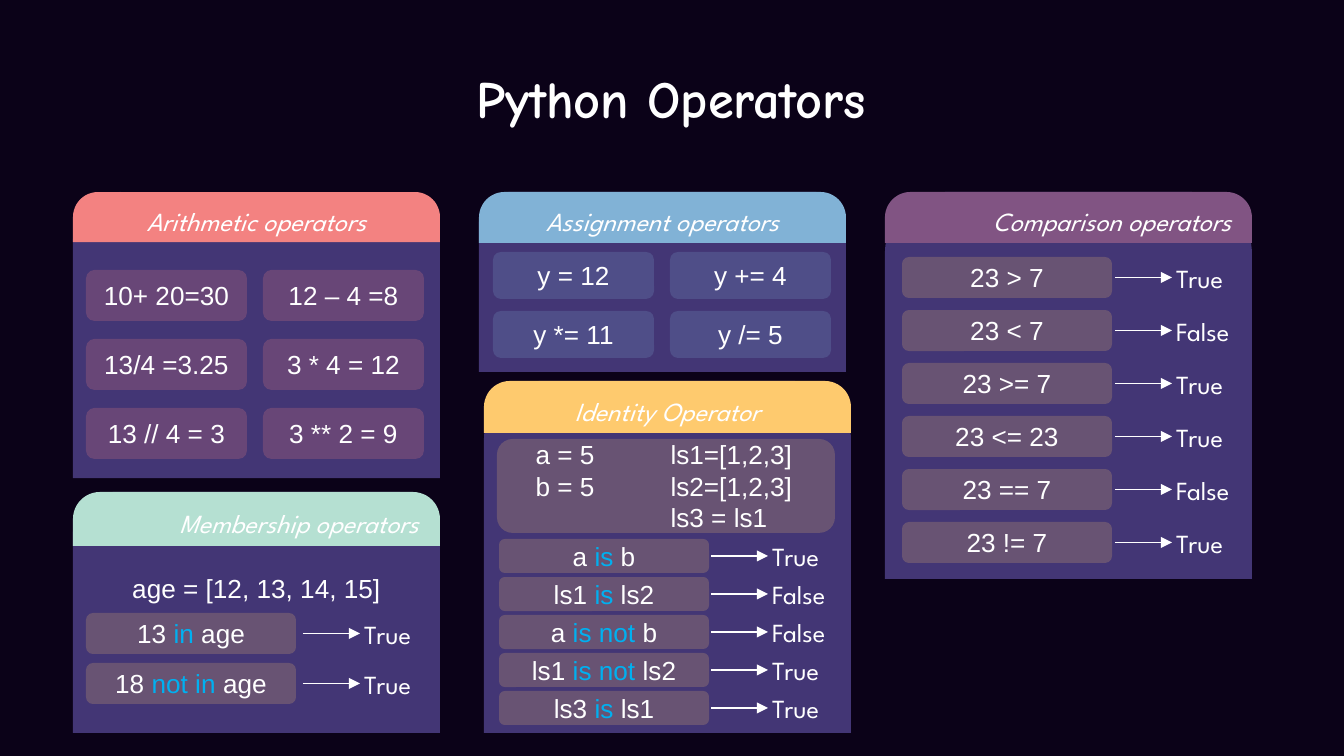
import pptx
import pptx.dml.color
import pptx.enum.shapes
import pptx.enum.text
import pptx.oxml
import pptx.oxml.ns
import pptx.util

RGBColor = pptx.dml.color.RGBColor
Shape = pptx.enum.shapes.MSO_SHAPE
Align = pptx.enum.text.PP_ALIGN
Anchor = pptx.enum.text.MSO_ANCHOR

NIGHT = RGBColor(0x0B, 0x02, 0x18)
INDIGO = RGBColor(0x43, 0x36, 0x75)
WHITE = RGBColor(0xFF, 0xFF, 0xFF)
CYAN = RGBColor(0x00, 0xB0, 0xF0)
CORAL = RGBColor(0xF3, 0x82, 0x81)
SKY = RGBColor(0x81, 0xB2, 0xD6)
MINT = RGBColor(0xB5, 0xE0, 0xD2)
PLUM = RGBColor(0x81, 0x54, 0x83)
AMBER = RGBColor(0xFE, 0xCA, 0x6E)

EMU_PER_PX = 914400 / 134.4
PANEL_WIDTH = 367
PILL_WIDTH = 210
ARROW_LENGTH = 57

TITLE = "Python Operators"

# Header, colour, alignment, left, top, height, header height
PANELS = [
    ("Arithmetic operators", CORAL, Align.CENTER, 73, 192, 286, 50),
    ("Assignment operators", SKY, Align.CENTER, 479, 192, 180, 51),
    ("Membership operators", MINT, Align.RIGHT, 73, 492, 241, 54),
    ("Comparison operators", PLUM, Align.RIGHT, 885, 192, 387, 51),
    ("Identity Operator", AMBER, Align.CENTER, 484, 381, 352, 52),
]

AGES = "age = [12, 13, 14, 15]"
DEFINITIONS = ["a = 5\tls1=[1,2,3]", "b = 5\tls2=[1,2,3]", "\tls3 = ls1"]

GRIDS = [
    dict(left=86, top=270, pitch=69, height=51, color=CORAL, opacity=21,
         rows=[("10+ 20=30", "12 – 4 =8"),
               ("13/4 =3.25", "3 * 4 = 12"),
               ("13 // 4 = 3", "3 ** 2 = 9")]),
    dict(left=493, top=252, pitch=59, height=47, color=SKY, opacity=20,
         rows=[("y = 12", "y += 4"), ("y *= 11", "y /= 5")]),
]

# Each expression alternates plain and highlighted pieces
TESTS = [
    dict(left=86, top=613, pitch=50, height=41, arrow=217,
         rows=[(["13 ", "in", " age"], "True"),
               (["18 ", "not in", " age"], "True")]),
    dict(left=902, top=257, pitch=53, height=41, arrow=213,
         rows=[(["23 > 7"], "True"), (["23 < 7"], "False"),
               (["23 >= 7"], "True"), (["23 <= 23"], "True"),
               (["23 == 7"], "False"), (["23 != 7"], "True")]),
    dict(left=499, top=539, pitch=38, height=34, arrow=212,
         rows=[(["a ", "is", " b"], "True"),
               (["ls1 ", "is", " ls2"], "False"),
               (["a ", "is not ", "b"], "False"),
               (["ls1 ", "is not ", "ls2"], "True"),
               (["ls3 ", "is ", "ls1"], "True")]),
]


def px(value):
    return pptx.util.Emu(round(value * EMU_PER_PX))


def write_text(shape, lines, font="Arial", size=14, align=Align.CENTER,
               anchor=Anchor.MIDDLE, bold=None, italic=None, tab=None):
    """Fill a shape with lines, each a list of plain and highlighted pieces."""
    frame = shape.text_frame
    frame.word_wrap = True
    frame.vertical_anchor = anchor
    for index, pieces in enumerate(lines):
        paragraph = frame.add_paragraph() if index else frame.paragraphs[0]
        paragraph.alignment = align
        if tab:
            properties = paragraph._p.get_or_add_pPr()
            tabs = pptx.oxml.ns.qn("a:tabLst")
            stops = properties.makeelement(tabs, {})
            stop = stops.makeelement(pptx.oxml.ns.qn("a:tab"),
                                     {"pos": str(px(tab)), "algn": "l"})
            stops.append(stop)
            properties.append(stops)
        for position, piece in enumerate(pieces):
            run = paragraph.add_run()
            run.text = piece
            run.font.name = font
            run.font.size = pptx.util.Pt(size)
            run.font.bold = bold
            run.font.italic = italic
            run.font.color.rgb = CYAN if position % 2 else WHITE


def add_box(slide, kind, left, top, width, height, color, opacity=100):
    shape = slide.shapes.add_shape(kind, px(left), px(top), px(width), px(height))
    shape.shadow.inherit = False
    shape.fill.solid()
    shape.fill.fore_color.rgb = color
    shape.line.fill.background()
    if opacity < 100:
        fill = shape._element.spPr.find(pptx.oxml.ns.qn("a:solidFill"))
        alpha = fill[0].makeelement(pptx.oxml.ns.qn("a:alpha"),
                                    {"val": str(opacity * 1000)})
        fill[0].append(alpha)
    return shape


def add_panel(slide, header, color, align, left, top, height, header_height):
    body = add_box(slide, Shape.ROUND_2_SAME_RECTANGLE,
                   left, top, PANEL_WIDTH, height, INDIGO)
    band = add_box(slide, Shape.ROUND_2_SAME_RECTANGLE,
                   left, top, PANEL_WIDTH, header_height, color)
    band.adjustments[0] = 0.5
    write_text(band, [[header]], font="League Spartan", align=align, italic=True)
    return body


def add_arrow(slide, left, y):
    arrow = slide.shapes.add_connector(
        pptx.enum.shapes.MSO_CONNECTOR.STRAIGHT,
        px(left), px(y), px(left + ARROW_LENGTH), px(y))
    arrow.line.color.rgb = WHITE
    arrow.line.width = pptx.util.Pt(0.75)
    line = arrow.line._get_or_add_ln()
    line.append(line.makeelement(pptx.oxml.ns.qn("a:tailEnd"), {"type": "triangle"}))
    properties = arrow._element.spPr
    properties.append(properties.makeelement(pptx.oxml.ns.qn("a:effectLst"), {}))


def add_test(slide, left, top, height, arrow, pieces, result):
    """Add an expression, an arrow and the value it gives."""
    pill = add_box(slide, Shape.ROUNDED_RECTANGLE,
                   left, top, PILL_WIDTH, height, AMBER, 20)
    write_text(pill, [pieces])
    middle = top + height / 2
    add_arrow(slide, left + arrow, middle)
    label = slide.shapes.add_textbox(
        px(left + arrow + 48), px(middle - 22), px(106), px(46))
    write_text(label, [[result]], font="League Spartan",
               align=Align.LEFT, anchor=Anchor.TOP)


def main():
    presentation = pptx.Presentation()
    presentation.slide_width = px(1344)
    presentation.slide_height = px(756)
    slide = presentation.slides.add_slide(presentation.slide_layouts[5])
    slide.background.fill.solid()
    slide.background.fill.fore_color.rgb = NIGHT

    title = slide.shapes.title
    title.left, title.top, title.width, title.height = map(px, (231, 53, 880, 86))
    frame = title.text_frame
    frame.margin_left = frame.margin_right = px(13)
    frame.margin_top = frame.margin_bottom = px(13)
    write_text(title, [[TITLE]], font="Comic Neue", size=28,
               anchor=Anchor.TOP, bold=True)

    bodies = {panel[0]: add_panel(slide, *panel) for panel in PANELS}
    ages = bodies["Membership operators"]
    ages.text_frame.margin_bottom = px(67)
    write_text(ages, [[AGES]])

    definitions = add_box(slide, Shape.ROUNDED_RECTANGLE, 497, 439, 338, 94, AMBER, 20)
    definitions.text_frame.margin_left = px(34)
    write_text(definitions, [[line] for line in DEFINITIONS],
               align=Align.LEFT, tab=135)

    for grid in GRIDS:
        for row, expressions in enumerate(grid["rows"]):
            for column, expression in enumerate(expressions):
                pill = add_box(slide, Shape.ROUNDED_RECTANGLE,
                               grid["left"] + column * 177,
                               grid["top"] + row * grid["pitch"],
                               161, grid["height"], grid["color"], grid["opacity"])
                write_text(pill, [[expression]])

    for group in TESTS:
        for row, (pieces, result) in enumerate(group["rows"]):
            add_test(slide, group["left"], group["top"] + row * group["pitch"],
                     group["height"], group["arrow"], pieces, result)

    presentation.save("out.pptx")


if __name__ == "__main__":
    main()
